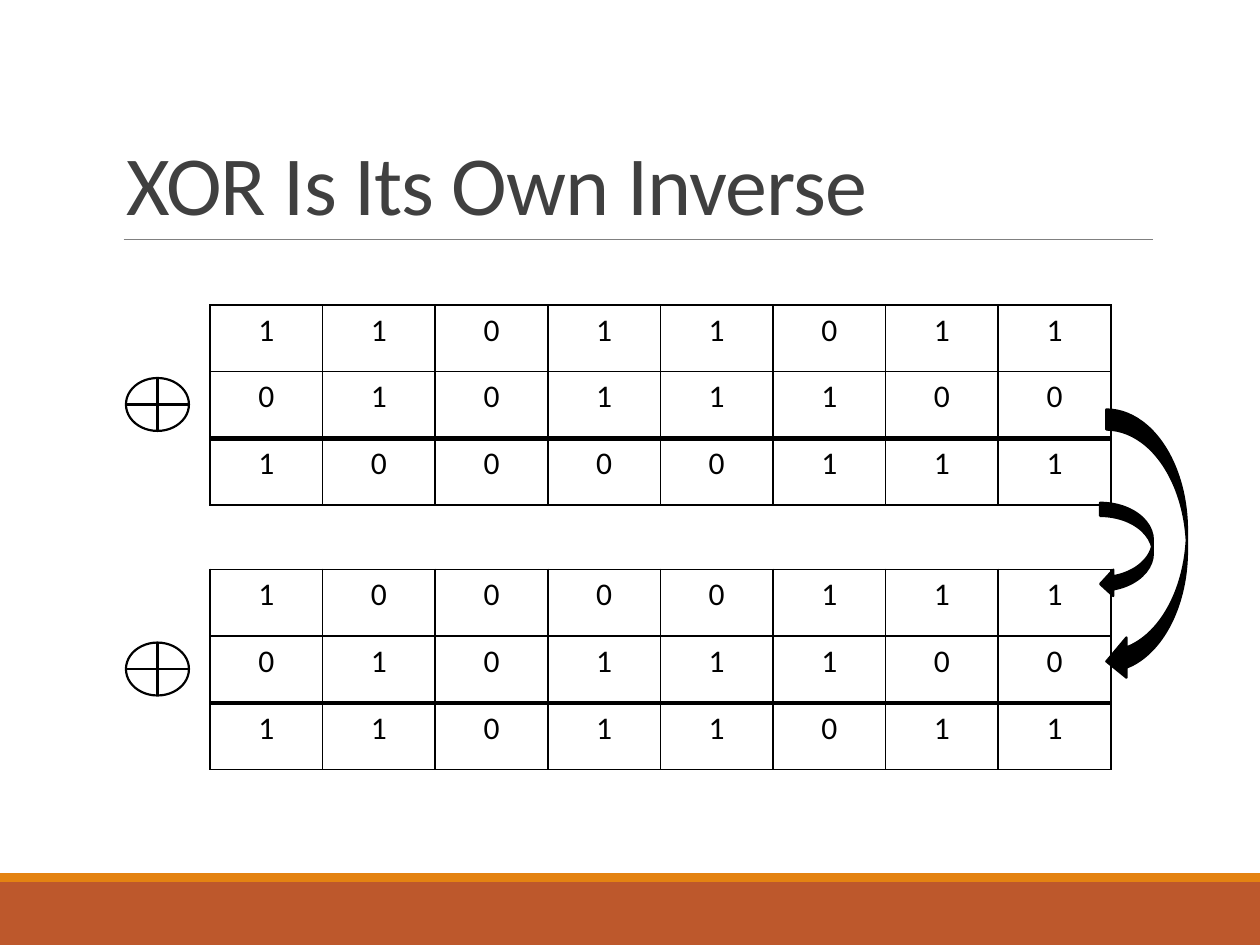
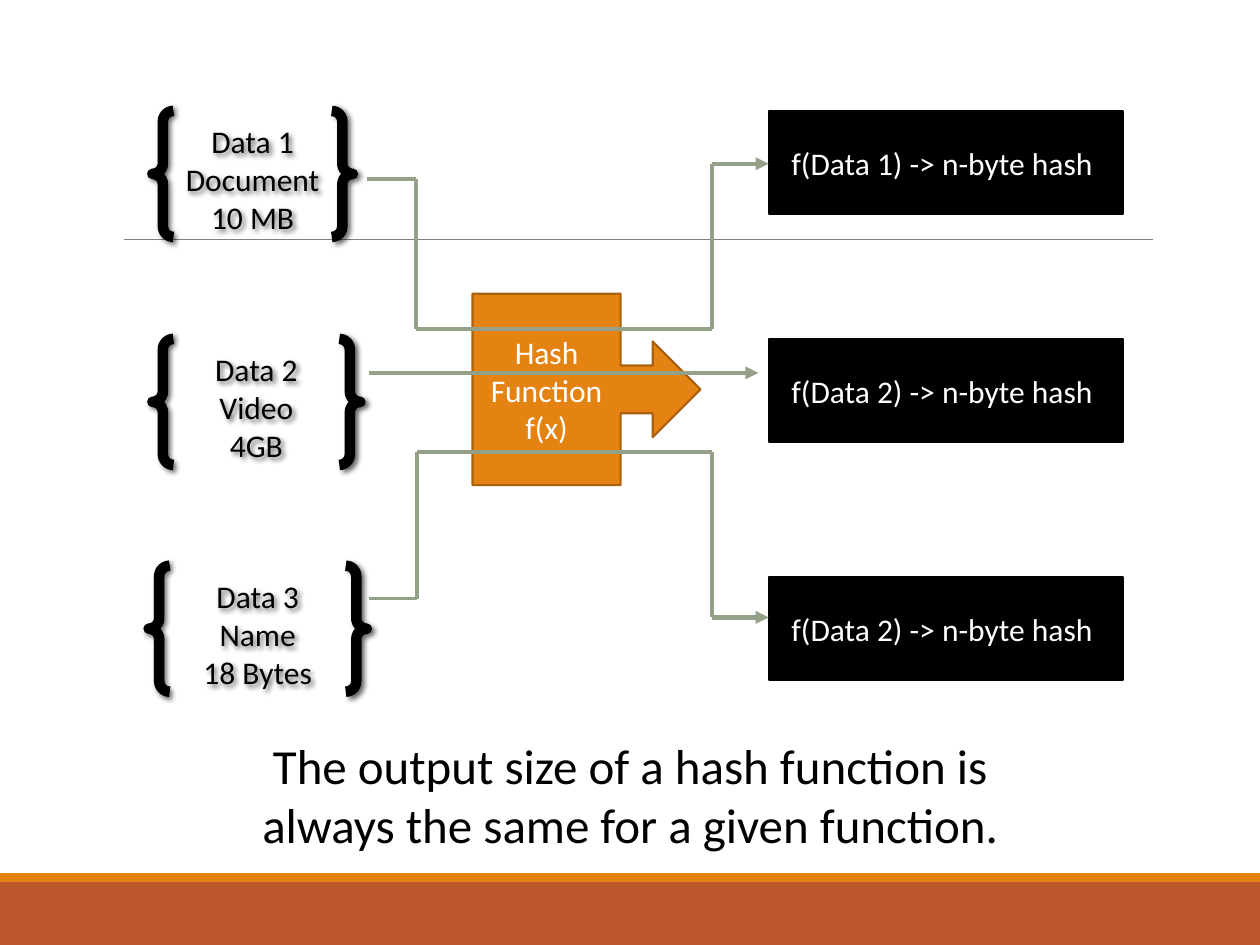
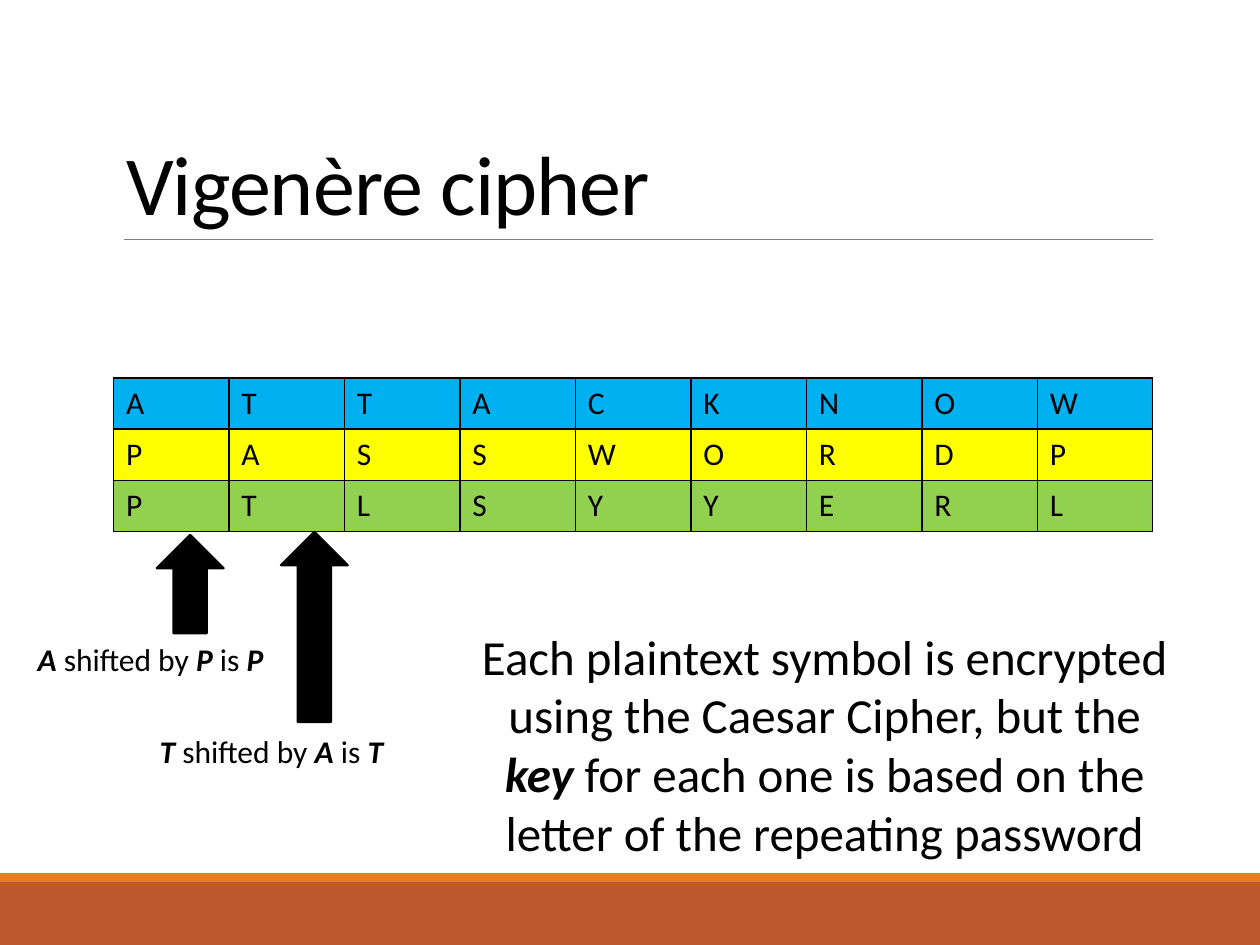
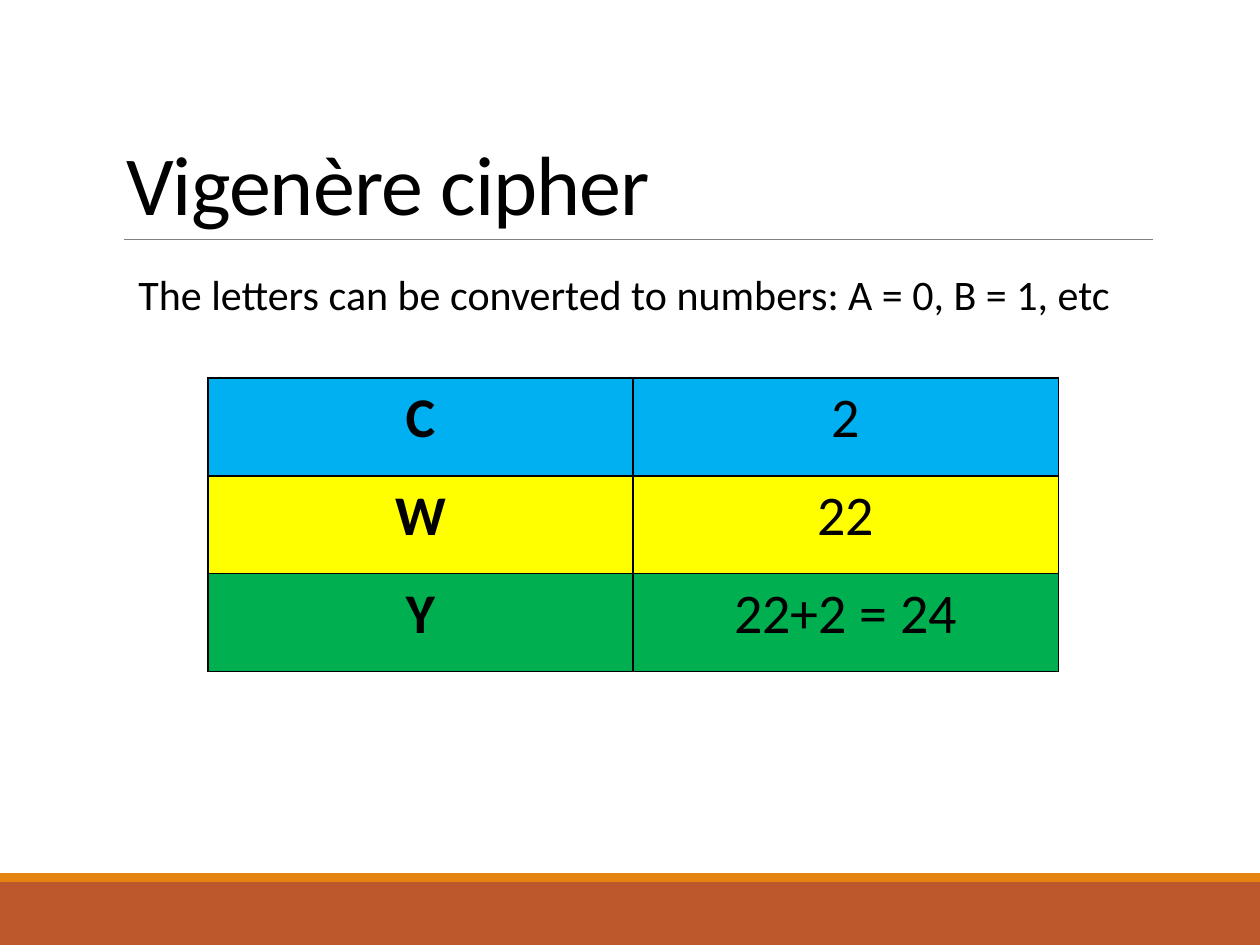
"""Build four slides on XOR, hash functions and the Vigenère cipher."""
from dataclasses import dataclass

from lxml.etree import SubElement
from pptx import Presentation
from pptx.dml.color import RGBColor
from pptx.enum.shapes import MSO_CONNECTOR, MSO_SHAPE
from pptx.enum.text import MSO_ANCHOR, MSO_AUTO_SIZE, PP_ALIGN
from pptx.oxml.ns import qn
from pptx.util import Pt


@dataclass(frozen=True)
class Theme:
    font: str = "Calibri"
    title_size: float = 48
    cell_size: float = 32
    statement_size: float = 28
    lead_size: float = 24
    body_size: float = 18
    outline_width: float = 1.25
    brace_width: float = 6
    black: RGBColor = RGBColor(0x00, 0x00, 0x00)
    white: RGBColor = RGBColor(0xFF, 0xFF, 0xFF)
    charcoal: RGBColor = RGBColor(0x40, 0x40, 0x40)
    rule: RGBColor = RGBColor(0x80, 0x80, 0x80)
    rust: RGBColor = RGBColor(0xBD, 0x58, 0x2C)
    orange: RGBColor = RGBColor(0xE4, 0x83, 0x12)
    brown: RGBColor = RGBColor(0xA9, 0x61, 0x0D)
    sage: RGBColor = RGBColor(0x94, 0xA0, 0x88)
    plaintext: RGBColor = RGBColor(0x00, 0xB0, 0xF0)
    password: RGBColor = RGBColor(0xFF, 0xFF, 0x00)
    ciphertext: RGBColor = RGBColor(0x92, 0xD0, 0x50)
    result: RGBColor = RGBColor(0x00, 0xB0, 0x50)


theme = Theme()


def write(frame, paragraphs, size, ink=theme.black, align=PP_ALIGN.CENTER, bold=False):
    """Fill a text frame; words between asterisks become bold italic."""
    for index, text in enumerate(paragraphs):
        paragraph = frame.add_paragraph() if index else frame.paragraphs[0]
        paragraph.alignment = align
        for part, words in enumerate(text.split("*")):
            if words:
                run = paragraph.add_run()
                run.text = words
                run.font.name = theme.font
                run.font.size = Pt(size)
                run.font.color.rgb = ink
                run.font.bold = bold or part % 2 == 1
                run.font.italic = part % 2 == 1


def add_figure(slide, kind, box, fill=theme.black, outline=theme.black,
               width=theme.outline_width):
    """Add a preset shape without a shadow; None leaves out fill or outline."""
    figure = slide.shapes.add_shape(kind, *map(Pt, box))
    figure.shadow.inherit = False
    for paint, colour in ((figure.fill, fill), (figure.line.fill, outline)):
        if colour is None:
            paint.background()
        else:
            paint.solid()
            paint.fore_color.rgb = colour
    if outline is not None:
        figure.line.width = Pt(width)
    return figure


deck = Presentation()
deck.slide_width, deck.slide_height = Pt(720), Pt(540)
title_only, blank = deck.slide_layouts[5], deck.slide_layouts[6]

slides = []
for heading, ink in (("XOR Is Its Own Inverse", theme.charcoal), (None, None),
                     ("Vigenère cipher", theme.black), ("Vigenère cipher", theme.black)):
    slide = deck.slides.add_slide(title_only if heading else blank)
    slides.append(slide)
    if heading:
        title = slide.shapes.title
        title.left, title.top, title.width, title.height = map(Pt, (64.8, 22.3, 594, 114.5))
        frame = title.text_frame
        frame.auto_size = MSO_AUTO_SIZE.NONE
        frame.vertical_anchor = MSO_ANCHOR.BOTTOM
        write(frame, [heading], theme.title_size, ink, PP_ALIGN.LEFT)
        frame.paragraphs[0].line_spacing = 0.85
        frame.paragraphs[0].runs[0].font._element.set("spc", "-50")
xor, hashing, vigenere, numbers = slides

first_bits, key_bits, mixed_bits = "11011011", "01011100", "10000111"
xor_tops = (174.2, 325.4)
tables = [
    (xor, 120, xor_tops[0], 64.35, 38.16, (first_bits, key_bits, mixed_bits),
     None, theme.body_size, PP_ALIGN.CENTER),
    (xor, 120, xor_tops[1], 64.35, 38.16, (mixed_bits, key_bits, first_bits),
     None, theme.body_size, PP_ALIGN.CENTER),
    (vigenere, 64.8, 216, 66, 29.28, ("ATTACKNOW", "PASSWORDP", "PTLSYYERL"),
     (theme.plaintext, theme.password, theme.ciphertext), theme.body_size, PP_ALIGN.LEFT),
    (numbers, 118.8, 216, 243, 55.92, (("C", "2"), ("W", "22"), ("Y", "22+2 = 24")),
     (theme.plaintext, theme.password, theme.result), theme.cell_size, PP_ALIGN.CENTER),
]
for slide, left, top, column_width, row_height, rows, fills, size, align in tables:
    columns = len(rows[0])
    grid = slide.shapes.add_table(len(rows), columns, Pt(left), Pt(top),
                                  Pt(column_width * columns), Pt(row_height * len(rows))).table
    grid.first_row = grid.horz_banding = False
    for column in grid.columns:
        column.width = Pt(column_width)
    for r, row in enumerate(rows):
        grid.rows[r].height = Pt(row_height)
        for c, entry in enumerate(row):
            cell = grid.cell(r, c)
            write(cell.text_frame, [entry], size, align=align, bold=slide is numbers and c == 0)
            properties = cell._tc.get_or_add_tcPr()
            for side in "LRTB":
                sum_line = slide is xor and (r, side) in ((1, "B"), (2, "T"))
                border = SubElement(properties, qn(f"a:ln{side}"), w=str(Pt(3 if sum_line else 1)))
                paint = SubElement(border, qn("a:solidFill"))
                SubElement(paint, qn("a:srgbClr"), val=str(theme.black))
            if fills:
                cell.fill.solid()
                cell.fill.fore_color.rgb = fills[r]
            else:
                cell.fill.background()

for top in xor_tops:
    add_figure(xor, MSO_SHAPE.FLOWCHART_OR, (72, top + 41.8, 36, 30.24), theme.white)
for box in ((628.6, 287.3, 30.2, 54), (632.2, 234, 46.1, 155.5)):
    add_figure(xor, MSO_SHAPE.CURVED_LEFT_ARROW, box)

function = add_figure(hashing, MSO_SHAPE.RIGHT_ARROW_CALLOUT, (270, 167.8, 130.3, 109.4),
                      theme.orange, theme.brown)
write(function.text_frame, ["Hash Function", "f(x)"], theme.body_size, theme.white)

for left, top, width, lines in ((87.1, 63.4, 114.5, ["Data 1", "Document 10 MB"]),
                                (87.1, 193.7, 118.8, ["Data 2", "Video", "4GB"]),
                                (85, 323.3, 124.6, ["Data 3", "Name", "18 Bytes"])):
    data = add_figure(hashing, MSO_SHAPE.DOUBLE_BRACE, (left, top, width, 72), None,
                      width=theme.brace_width)
    write(data.text_frame, lines, theme.body_size)
    effects = data.element.spPr.find(qn("a:effectLst"))
    shadow = SubElement(effects, qn("a:outerShdw"), blurRad=str(Pt(3)), dist=str(Pt(2)),
                        dir="2700000", algn="tl", rotWithShape="0")
    shade = SubElement(shadow, qn("a:srgbClr"), val=str(theme.black))
    SubElement(shade, qn("a:alpha"), val="60000")

for top, source in ((63.4, 1), (193.7, 2), (329.8, 2)):
    digest = add_figure(hashing, MSO_SHAPE.FLOWCHART_PROCESS, (439.2, top, 202.3, 59))
    write(digest.text_frame, [f"f(Data {source}) -> n-byte hash "], theme.body_size, theme.white)

for box in ((125.3, 339.1, 108.7, 38.2), (80.6, 314.6, 56.2, 38.2)):
    pointer = add_figure(vigenere, MSO_SHAPE.LEFT_ARROW, box)
    pointer.rotation = 90

routes = [
    ((209.5, 102.2), (237.6, 102.2), (237.6, 187.9), (406.8, 187.9), (406.8, 93.6), (439.2, 93.6)),
    ((211, 213.1), (433.4, 213.1)),
    ((211, 342), (238.3, 342), (238.3, 258.5), (406.8, 258.5), (406.8, 352.8), (439.2, 352.8)),
]
segments = [((70.6, 136.8), (658.8, 136.8), theme.rule, 0.5, False)]
for route in routes:
    for start, end in zip(route, route[1:]):
        last = end == route[-1]
        segments.append((start, end, theme.sage, 2.5 if last else 2.25, last))
strokes = []
for start, end, colour, width, pointed in segments:
    stroke = hashing.shapes.add_connector(MSO_CONNECTOR.STRAIGHT, *map(Pt, start + end))
    stroke.line.color.rgb = colour
    stroke.line.width = Pt(width)
    if pointed:
        SubElement(stroke.get_or_add_ln(), qn("a:tailEnd"), type="triangle")
    SubElement(stroke.element.spPr, qn("a:effectLst"))
    strokes.append(stroke)

footer_band = add_figure(hashing, MSO_SHAPE.RECTANGLE, (0, 504, 720, 36), theme.rust, None)
footer_stripe = add_figure(hashing, MSO_SHAPE.RECTANGLE, (0, 499, 720, 5), theme.orange, None)
for number, shared in enumerate((footer_band, footer_stripe, strokes[0]), start=100):
    shared.element.xpath("./*/p:cNvPr")[0].set("id", str(number))
    deck.slide_master.shapes.element.append(shared.element)

statements = [
    (hashing, (131.8, 416.9, 456.5, 74.9), theme.statement_size, PP_ALIGN.CENTER,
     "The output size of a hash function is always the same for a given function."),
    (vigenere, (264.2, 354.2, 414, 143.3), theme.statement_size, PP_ALIGN.CENTER,
     "Each plaintext symbol is encrypted using the Caesar Cipher, but the *key* for each one "
     "is based on the letter of the repeating password"),
    (vigenere, (14.4, 362.2, 145.4, 28.8), theme.body_size, PP_ALIGN.LEFT,
     "*A* shifted by *P* is *P*"),
    (vigenere, (84.2, 414.7, 144, 28.8), theme.body_size, PP_ALIGN.LEFT,
     "*T* shifted by *A* is *T*"),
    (numbers, (72, 149.8, 575.3, 36), theme.lead_size, PP_ALIGN.LEFT,
     "The letters can be converted to numbers: A = 0, B = 1, etc"),
]
for slide, box, size, align, text in statements:
    frame = slide.shapes.add_textbox(*map(Pt, box)).text_frame
    frame.word_wrap = align == PP_ALIGN.CENTER
    frame.auto_size = MSO_AUTO_SIZE.SHAPE_TO_FIT_TEXT
    write(frame, [text], size, align=align)

deck.save("out.pptx")
